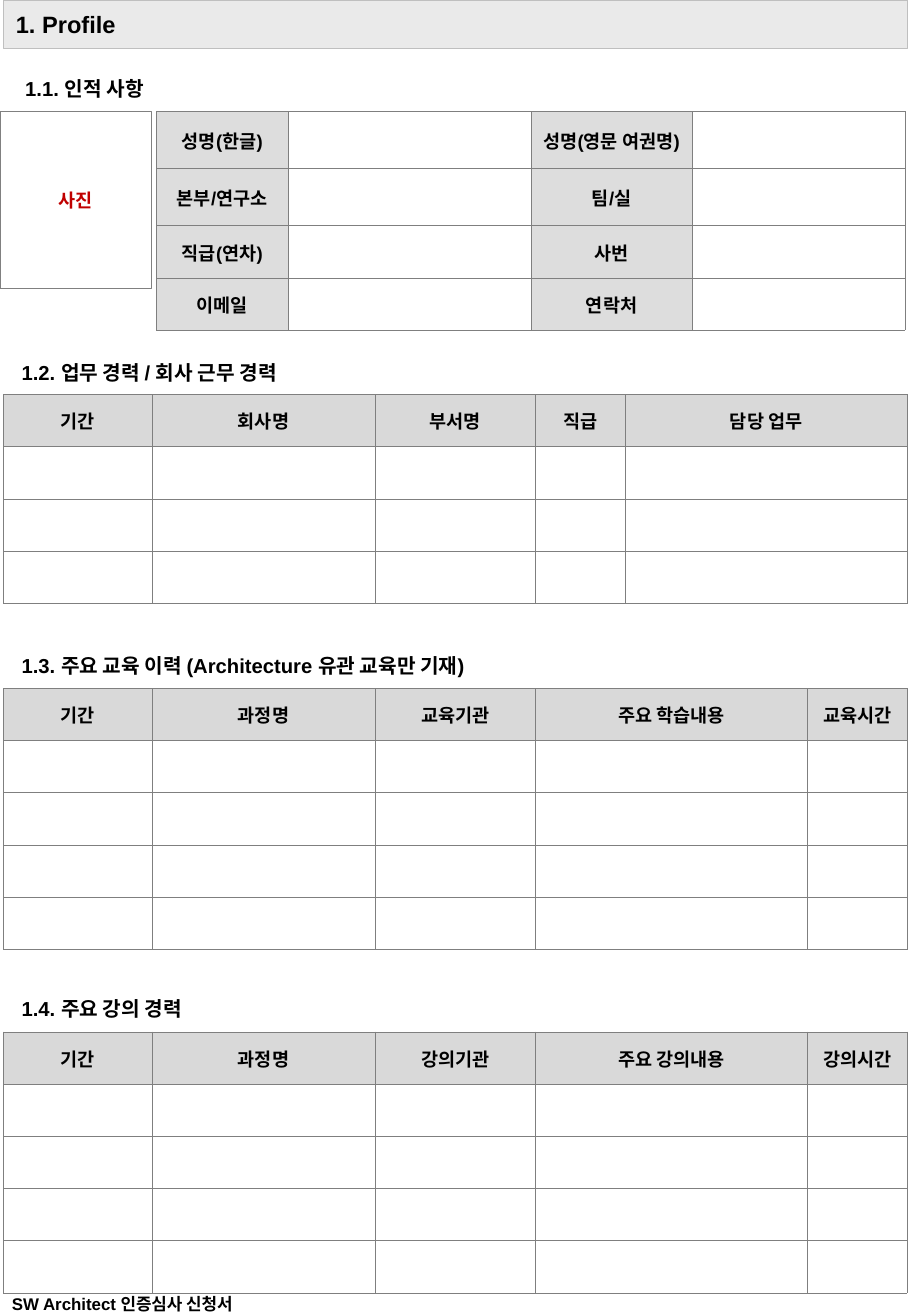
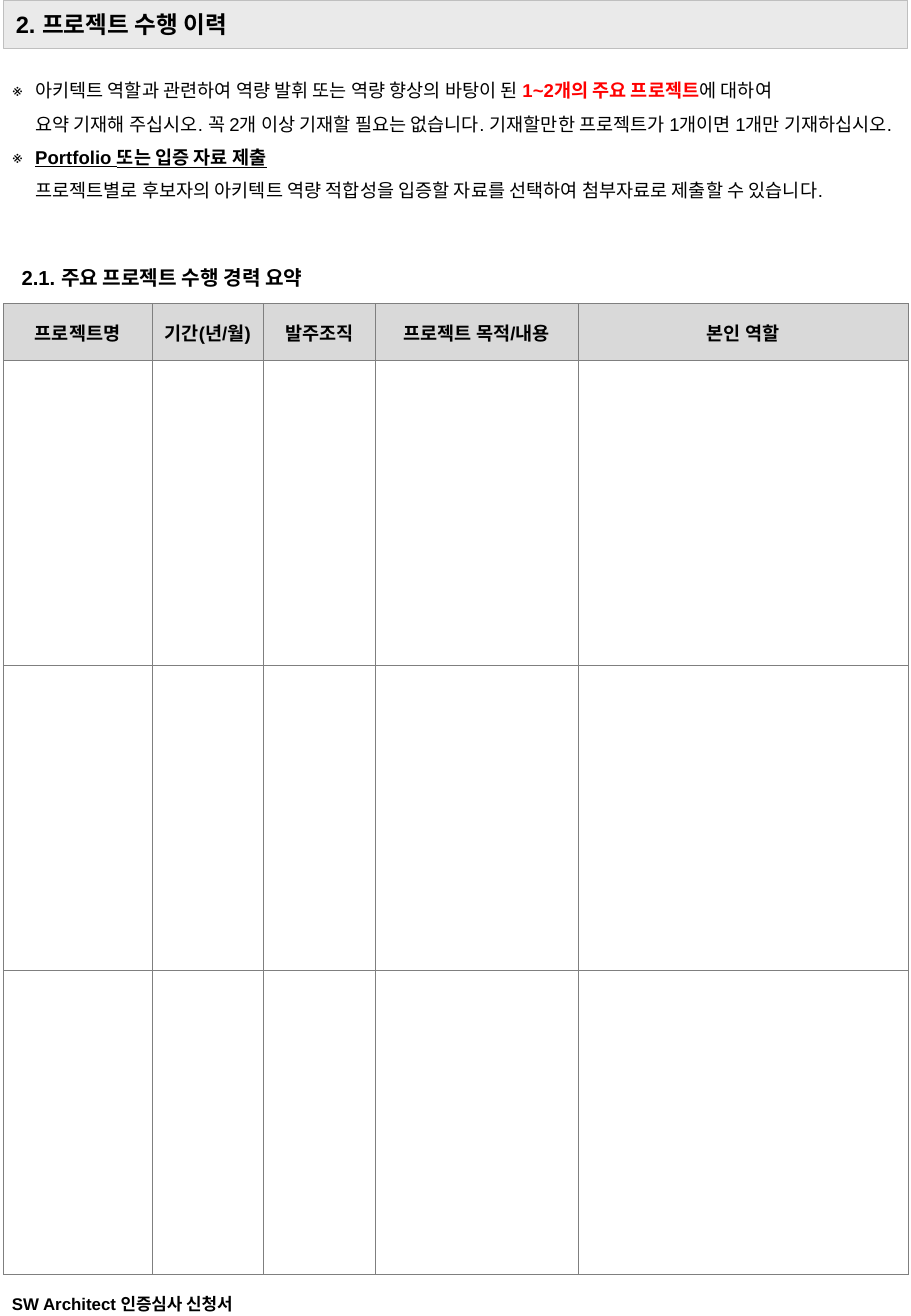
"""Build the two-page application form for architect certification."""
from lxml.etree import SubElement
from pptx import Presentation
from pptx.dml.color import RGBColor
from pptx.enum.shapes import MSO_SHAPE
from pptx.enum.text import MSO_ANCHOR, MSO_AUTO_SIZE, PP_ALIGN
from pptx.oxml import parse_xml
from pptx.oxml.ns import nsdecls, qn
from pptx.util import Inches, Pt

COLORS = {
    "text": "000000", "band": "EAEAEA", "band_line": "BFBFBF",
    "label": "DDDDDD", "header": "D9D9D9", "grid": "7F7F7F",
    "photo_line": "808080", "photo": "C00000", "accent": "FF0000",
}
FONT = "Arial"
PAGE_WIDTH, PAGE_HEIGHT = 7.5, 10.84
LEFT, CONTENT_WIDTH = 0.03, 7.44
FOOTER = "SW Architect 인증심사 신청서"


def write_text(paragraph, text, size=11, bold=True, color="text", underline=False, align=None):
    run = paragraph.add_run()
    run.text = text
    run.font.name = FONT
    run.font.size = Pt(size)
    run.font.bold = bold
    run.font.underline = underline
    run.font.color.rgb = RGBColor.from_string(COLORS[color])
    if align is not None:
        paragraph.alignment = align


def add_form_table(slide, left, top, widths, heights, labels, fill="header"):
    frame = slide.shapes.add_table(
        len(heights), len(widths), Inches(left), Inches(top),
        Inches(sum(widths)), Inches(sum(heights)))
    table = frame.table
    table.first_row = table.horz_banding = False
    for column, width in zip(table.columns, widths):
        column.width = Inches(width)
    for row, height in zip(table.rows, heights):
        row.height = Inches(height)
    for row_index, row in enumerate(table.rows):
        for column_index, cell in enumerate(row.cells):
            cell.margin_left = cell.margin_right = Inches(0.08)
            cell.vertical_anchor = MSO_ANCHOR.MIDDLE
            label = labels.get((row_index, column_index))
            if label:
                cell.fill.solid()
                cell.fill.fore_color.rgb = RGBColor.from_string(COLORS[fill])
                paragraph = cell.text_frame.paragraphs[0]
                paragraph.space_before = Pt(2.8)
                write_text(paragraph, label, align=PP_ALIGN.CENTER)
            else:
                cell.fill.background()
            properties = cell._tc.get_or_add_tcPr()
            for position, side in enumerate(("lnL", "lnR", "lnT", "lnB")):
                properties.insert(position, parse_xml(
                    f'<a:{side} {nsdecls("a")} w="{Pt(0.34)}"><a:solidFill>'
                    f'<a:srgbClr val="{COLORS["grid"]}"/></a:solidFill></a:{side}>'))


presentation = Presentation()
presentation.slide_width = Inches(PAGE_WIDTH)
presentation.slide_height = Inches(PAGE_HEIGHT)
layouts = presentation.slide_layouts
profile_slide = presentation.slides.add_slide(layouts.get_by_name("Title Only"))
project_slide = presentation.slides.add_slide(layouts.get_by_name("Title and Content"))

for slide, title_text in (
    (profile_slide, "1. Profile"),
    (project_slide, "2. 프로젝트 수행 이력"),
):
    title = slide.shapes.title
    title.left, title.top = Inches(LEFT), Inches(0)
    title.width, title.height = Inches(CONTENT_WIDTH), Inches(0.4)
    title.fill.solid()
    title.fill.fore_color.rgb = RGBColor.from_string(COLORS["band"])
    title.line.color.rgb = RGBColor.from_string(COLORS["band_line"])
    title.line.width = Pt(0.75)
    title.text_frame.auto_size = MSO_AUTO_SIZE.NONE
    title.text_frame.vertical_anchor = MSO_ANCHOR.MIDDLE
    write_text(title.text_frame.paragraphs[0], title_text, size=14, align=PP_ALIGN.LEFT)

for slide, left, top, width, height, size, text in (
    (profile_slide, 0, 10.61, 2.38, 0.22, 10, FOOTER),
    (project_slide, 0, 10.61, 2.38, 0.22, 10, FOOTER),
    (profile_slide, 0.11, 0.58, 1.5, 0.3, 12, "1.1. 인적 사항"),
    (profile_slide, 0.08, 2.92, 5.5, 0.3, 12, "1.2. 업무 경력 / 회사 근무 경력"),
    (profile_slide, 0.08, 5.33, 5.5, 0.3, 12, "1.3. 주요 교육 이력 (Architecture 유관 교육만 기재)"),
    (profile_slide, 0.08, 8.16, 5.5, 0.3, 12, "1.4. 주요 강의 경력"),
    (project_slide, 0.08, 2.14, 5.5, 0.3, 12, "2.1. 주요 프로젝트 수행 경력 요약"),
):
    text_box = slide.shapes.add_textbox(Inches(left), Inches(top), Inches(width), Inches(height))
    text_box.text_frame.word_wrap = True
    write_text(text_box.text_frame.paragraphs[0], text, size=size)

photo_box = profile_slide.shapes.add_shape(
    MSO_SHAPE.RECTANGLE, Inches(0), Inches(0.92), Inches(1.25), Inches(1.46))
photo_box.shadow.inherit = False
photo_box.fill.background()
photo_box.line.color.rgb = RGBColor.from_string(COLORS["photo_line"])
photo_box.line.width = Pt(0.75)
photo_box.text_frame.vertical_anchor = MSO_ANCHOR.MIDDLE
write_text(photo_box.text_frame.paragraphs[0], "사진", color="photo", align=PP_ALIGN.CENTER)

personal_labels = (
    ("성명(한글)", "성명(영문 여권명)"),
    ("본부/연구소", "팀/실"),
    ("직급(연차)", "사번"),
    ("이메일", "연락처"),
)
add_form_table(
    profile_slide, 1.29, 0.92, (1.08, 2, 1.33, 1.75), (0.47, 0.47, 0.43, 0.43),
    {(row, 2 * pair): label
     for row, labels in enumerate(personal_labels) for pair, label in enumerate(labels)},
    fill="label")

course_widths = (1.22, 1.84, 1.32, 2.24, 0.82)
for slide, top, widths, heights, headers in (
    (profile_slide, 3.25, (1.22, 1.84, 1.32, 0.74, 2.32), [0.43] * 4,
     ("기간", "회사명", "부서명", "직급", "담당 업무")),
    (profile_slide, 5.67, course_widths, [0.43] * 5,
     ("기간", "과정명", "교육기관", "주요 학습내용", "교육시간")),
    (profile_slide, 8.5, course_widths, [0.43] * 5,
     ("기간", "과정명", "강의기관", "주요 강의내용", "강의시간")),
    (project_slide, 2.5, (1.22, 0.92, 0.92, 1.67, 2.72), [0.47] + [2.51] * 3,
     ("프로젝트명", "기간(년/월)", "발주조직", "프로젝트 목적/내용", "본인 역할")),
):
    add_form_table(slide, LEFT, top, widths, heights,
                   {(0, column): header for column, header in enumerate(headers)})

guide = project_slide.placeholders[1]
guide.left, guide.top = Inches(0), Inches(0.37)
guide.width, guide.height = Inches(PAGE_WIDTH), Inches(1.48)
guide.text_frame.auto_size = MSO_AUTO_SIZE.NONE
guide.text_frame.vertical_anchor = MSO_ANCHOR.MIDDLE
project_note = guide.text_frame.paragraphs[0]
portfolio_note = guide.text_frame.add_paragraph()
for paragraph in (project_note, portfolio_note):
    paragraph.line_spacing = 1.5
    paragraph.space_before = Pt(0)
    properties = paragraph._p.get_or_add_pPr()
    properties.set("marL", str(Inches(0.19)))
    properties.set("indent", str(-Inches(0.19)))
    bullet_color = SubElement(properties, qn("a:buClr"))
    SubElement(bullet_color, qn("a:srgbClr"), val=COLORS["text"])
    SubElement(properties, qn("a:buChar"), char="※")

write_text(project_note, "아키텍트 역할과 관련하여 역량 발휘 또는 역량 향상의 바탕이 된 ", bold=False)
write_text(project_note, "1~2개의 주요 프로젝트", color="accent")
write_text(project_note, "에 대하여", bold=False)
project_note.add_line_break()
write_text(project_note, "요약 기재해 주십시오. 꼭 2개 이상 기재할 필요는 없습니다. "
           "기재할만한 프로젝트가 1개이면 1개만 기재하십시오.", bold=False)
write_text(portfolio_note, "Portfolio 또는 입증 자료 제출", underline=True)
portfolio_note.add_line_break()
write_text(portfolio_note, "프로젝트별로 후보자의 아키텍트 역량 적합성을 입증할 자료를 "
           "선택하여 첨부자료로 제출할 수 있습니다.", bold=False)

presentation.save("out.pptx")
